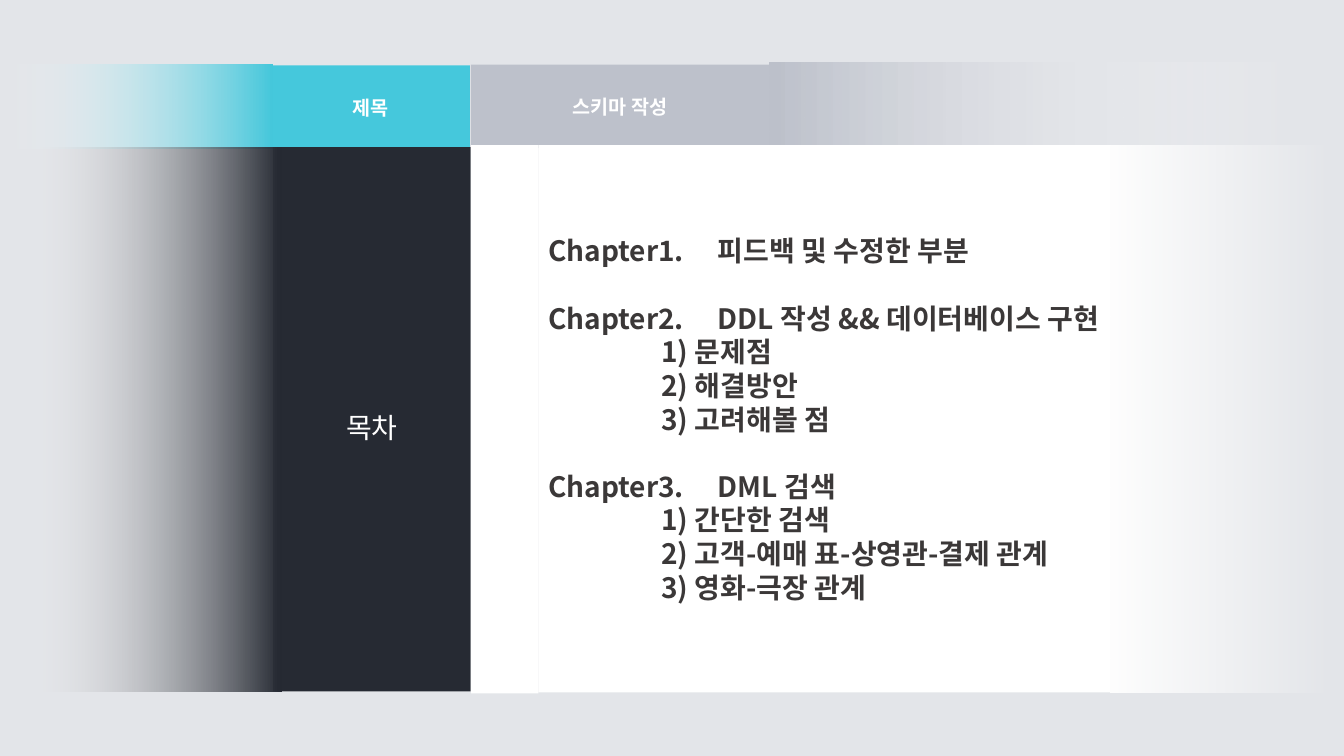
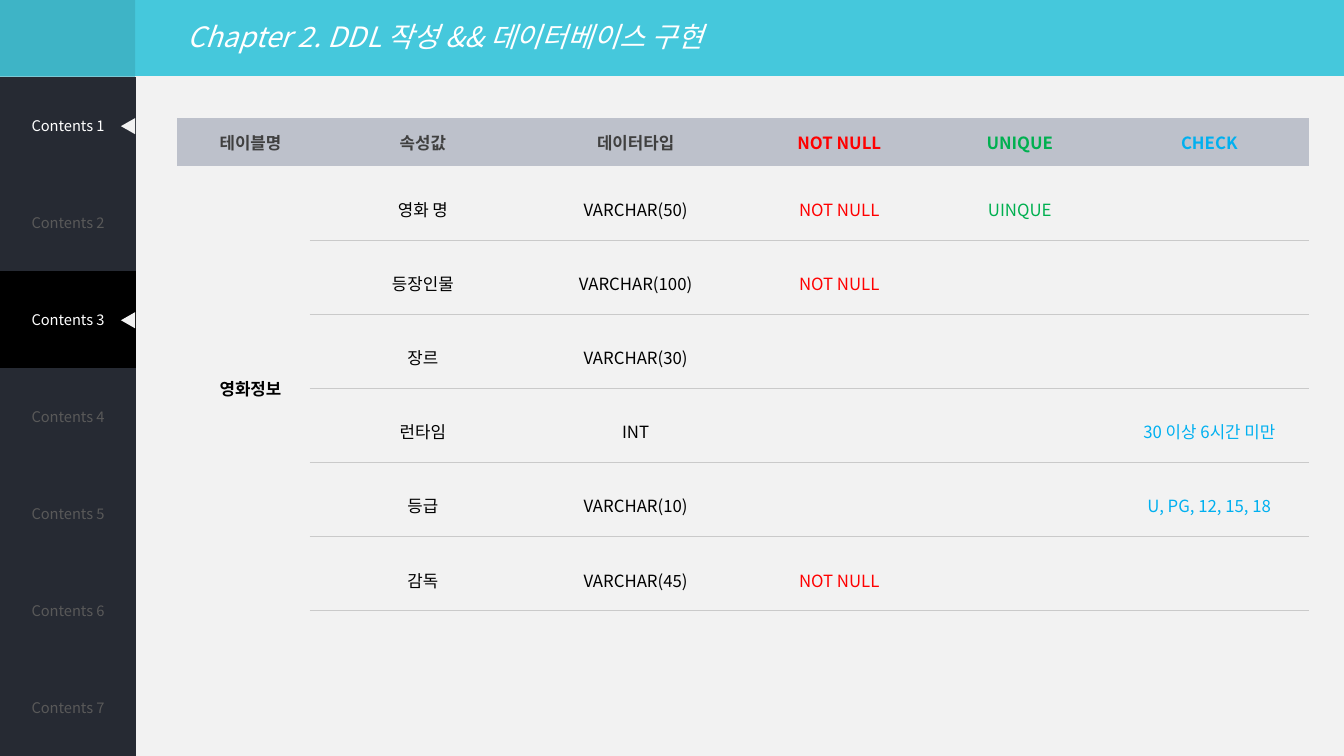
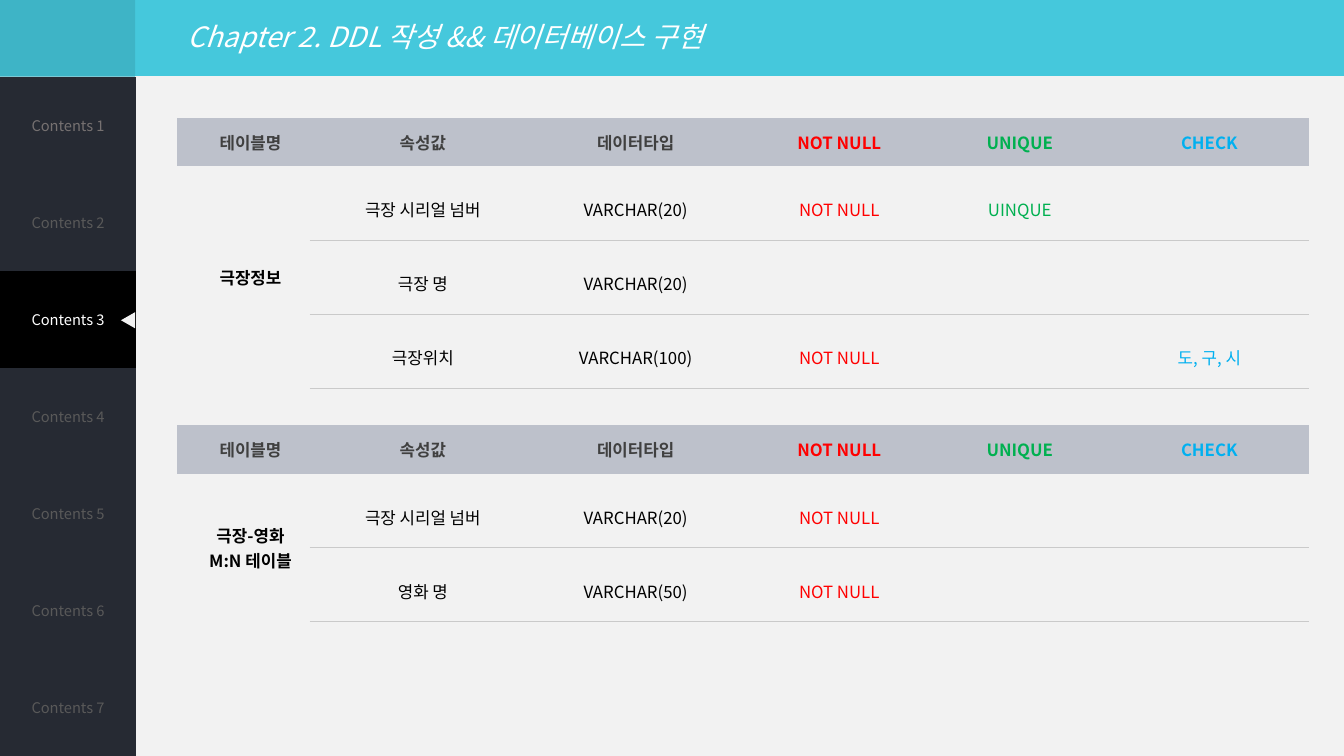
"""Build three slides: a table of contents and two table-schema pages."""
from dataclasses import dataclass

from lxml.etree import SubElement
from pptx import Presentation
from pptx.dml.color import RGBColor
from pptx.enum.shapes import MSO_SHAPE as Shape
from pptx.enum.text import MSO_ANCHOR as Anchor, MSO_AUTO_SIZE as AutoSize, PP_ALIGN as Align
from pptx.oxml.ns import qn
from pptx.util import Inches, Pt

FONT = "Noto Sans CJK KR"
CYAN, DARK_CYAN, NAVY, SILVER = "45C8DC", "3EB4C6", "262A33", "BDC1CB"
WHITE, BLACK, PAPER, MIST, RULE = "FFFFFF", "000000", "F2F2F2", "E3E5E9", "CACACA"
RED, GREEN, BLUE = "FF0000", "00B050", "00B0F0"
NO_STYLE = "{2D5ABB26-0587-4C30-8999-92F81FD0307C}"

PAGE_WIDTH, PAGE_HEIGHT = 13.33, 7.5
BAND_HEIGHT, SIDEBAR_WIDTH = 0.76, 1.35
MENU_COUNT = 7
MENU_ROW = (PAGE_HEIGHT - BAND_HEIGHT) / MENU_COUNT
MENU_CURRENT = 3
TABLE_LEFT = 1.76
COLUMN_WIDTHS = (1.31, 2.11, 2.11, 1.93, 1.65, 2.11)
HEADER_ROW = 0.48
BODY_ROW = (4.89 - HEADER_ROW) / 6
HEADINGS = ("테이블명", "속성값", "데이터타입", "NOT NULL", "UNIQUE", "CHECK")
HEADING_COLORS = ("404040",) * 3 + (RED, GREEN, BLUE)
BODY_COLORS = (BLACK,) * 3 + (RED, GREEN, BLUE)
CHAPTER_TITLE = "Chapter 2. DDL 작성 && 데이터베이스 구현"


@dataclass(frozen=True)
class Box:
    """A rectangle on the page, in inches."""
    left: float
    top: float
    width: float
    height: float

    def lengths(self) -> list:
        """Return the four measures as lengths."""
        return [Inches(value) for value in (self.left, self.top, self.width, self.height)]


@dataclass(frozen=True)
class Fade:
    """A rectangle that fades from a colour to clear."""
    box: Box
    color: str
    angle: int


@dataclass(frozen=True)
class Chapter:
    """One entry of the contents list with its items."""
    label: str
    title: str
    items: tuple = ()


@dataclass(frozen=True)
class Schema:
    """One table description; each row fills the columns after the name."""
    top: float
    name: str
    rows: tuple


@dataclass(frozen=True)
class SchemaPage:
    """One page of schemas with the look of its sidebar."""
    first_color: str
    marked: tuple
    schemas: tuple


CHAPTERS = (
    Chapter("Chapter1.", "피드백 및 수정한 부분"),
    Chapter("Chapter2.", "DDL 작성 && 데이터베이스 구현",
            ("1) 문제점", "2) 해결방안", "3) 고려해볼 점")),
    Chapter("Chapter3.", "DML 검색",
            ("1) 간단한 검색", "2) 고객-예매 표-상영관-결제 관계", "3) 영화-극장 관계")),
)

FADES = (
    Fade(Box(11.01, 1.44, 2.2, 5.43), WHITE, 0),
    Fade(Box(7.63, 0.62, 5.26, 0.81), SILVER, 0),
    Fade(Box(0.04, 0.64, 2.66, 0.83), CYAN, 180),
    Fade(Box(0.13, 1.46, 2.66, 5.4), NAVY, 180),
)

SCHEMA_PAGES = (
    SchemaPage(WHITE, (1, MENU_CURRENT), (
        Schema(1.17, "영화정보", (
            ("영화 명", "VARCHAR(50)", "NOT NULL", "UINQUE", ""),
            ("등장인물", "VARCHAR(100)", "NOT NULL", "", ""),
            ("장르", "VARCHAR(30)", "", "", ""),
            ("런타임", "INT", "", "", "30 이상 6시간 미만"),
            ("등급", "VARCHAR(10)", "", "", "U, PG, 12, 15, 18"),
            ("감독", "VARCHAR(45)", "NOT NULL", "", ""),
        )),
    )),
    SchemaPage("767171", (MENU_CURRENT,), (
        Schema(1.17, "극장정보", (
            ("극장 시리얼 넘버", "VARCHAR(20)", "NOT NULL", "UINQUE", ""),
            ("극장 명", "VARCHAR(20)", "", "", ""),
            ("극장위치", "VARCHAR(100)", "NOT NULL", "", "도, 구, 시"),
        )),
        Schema(4.22, "극장-영화\nM:N 테이블", (
            ("극장 시리얼 넘버", "VARCHAR(20)", "NOT NULL", "", ""),
            ("영화 명", "VARCHAR(50)", "NOT NULL", "", ""),
        )),
    )),
)


def rgb(color: str) -> RGBColor:
    """Turn a hex string into a colour."""
    return RGBColor.from_string(color)


def set_all(target, **values) -> None:
    """Set several attributes of one object."""
    for name, value in values.items():
        setattr(target, name, value)


def paint(target, color: str) -> None:
    """Give a shape, cell or background a solid fill."""
    target.fill.solid()
    target.fill.fore_color.rgb = rgb(color)


def style_text(paragraphs, color: str, size: float, align=Align.CENTER, spacing=None, **font) -> None:
    """Format paragraphs and every run in them."""
    for para in paragraphs:
        set_all(para, alignment=align, line_spacing=spacing)
        for span in para.runs:
            set_all(span.font, name=FONT, size=Pt(size), **font)
            span.font.color.rgb = rgb(color)
            SubElement(span.font._element, qn("a:ea"), typeface=FONT)


def add_block(page, box: Box, color: str, kind=Shape.RECTANGLE):
    """Draw a plain filled shape."""
    block = page.shapes.add_shape(kind, *box.lengths())
    block.shadow.inherit = False
    paint(block, color)
    block.line.fill.background()
    return block


def add_label(page, box: Box, color: str, text: str, size: float, **look) -> None:
    """Draw a filled rectangle with white text in its middle."""
    frame = add_block(page, box, color).text_frame
    set_all(frame, text=text, word_wrap=True, vertical_anchor=Anchor.MIDDLE)
    style_text(frame.paragraphs, WHITE, size, **look)


def add_fade(page, fade: Fade) -> None:
    """Draw a rectangle that fades out to one side."""
    fill = add_block(page, fade.box, fade.color).fill
    fill.gradient()
    fill.gradient_angle = fade.angle
    for stop, position, color in zip(fill.gradient_stops, (0, 1), (fade.color, WHITE)):
        stop.position = position
        stop.color.rgb = rgb(color)
    clear = fill._xPr.findall(".//" + qn("a:srgbClr"))[-1]
    SubElement(clear, qn("a:alpha"), val="0")


def place_title(page, box: Box, text: str, size: float, **look) -> None:
    """Move, fill in and format the title placeholder."""
    title = page.shapes.title
    set_all(title, **dict(zip(("left", "top", "width", "height"), box.lengths())))
    set_all(title.text_frame, text=text, word_wrap=True, auto_size=AutoSize.NONE,
            vertical_anchor=Anchor.MIDDLE)
    style_text(title.text_frame.paragraphs, WHITE, size, **look)


def add_plain_table(page, box: Box, widths, heights):
    """Add a table without a built-in style."""
    table = page.shapes.add_table(len(heights), len(widths), *box.lengths()).table
    set_all(table, first_row=False, horz_banding=False)
    table._tbl.tblPr.find(qn("a:tableStyleId")).text = NO_STYLE
    for column, width in zip(table.columns, widths):
        column.width = Inches(width)
    for row, height in zip(table.rows, heights):
        row.height = Inches(height)
    return table


def fill_cell(cell, text: str, color: str, size: float, **look) -> None:
    """Write one table cell, centred."""
    set_all(cell, text=text, vertical_anchor=Anchor.MIDDLE)
    style_text(cell.text_frame.paragraphs, color, size, **look)


def underline_cell(cell) -> None:
    """Draw the rule below a cell."""
    border = SubElement(cell._tc.get_or_add_tcPr(), qn("a:lnB"), w=str(Pt(1)))
    fill = SubElement(border, qn("a:solidFill"))
    SubElement(fill, qn("a:srgbClr"), val=RULE)


def add_schema(page, schema: Schema) -> None:
    """Draw one schema table with its heading row and merged name."""
    heights = [HEADER_ROW] + [BODY_ROW] * len(schema.rows)
    box = Box(TABLE_LEFT, schema.top, sum(COLUMN_WIDTHS), sum(heights))
    table = add_plain_table(page, box, COLUMN_WIDTHS, heights)
    for cell in table.iter_cells():
        cell.margin_left = Inches(0.24)
    for column, (heading, color) in enumerate(zip(HEADINGS, HEADING_COLORS)):
        cell = table.cell(0, column)
        fill_cell(cell, heading, color, 12, bold=True)
        paint(cell, SILVER)
    for row, values in enumerate(schema.rows, 1):
        for column, value in enumerate(values, 1):
            cell = table.cell(row, column)
            fill_cell(cell, value, BODY_COLORS[column], 12, spacing=1.5)
            underline_cell(cell)
            cell.fill.background()
    name = table.cell(1, 0)
    name.merge(table.cell(len(schema.rows), 0))
    fill_cell(name, schema.name, BLACK, 12, bold=True)
    name.fill.background()


def add_sidebar(page, first_color: str, marked: tuple) -> None:
    """Draw the menu at the left with its markers."""
    add_block(page, Box(0, 0, 1.34, BAND_HEIGHT), DARK_CYAN)
    box = Box(0, BAND_HEIGHT, SIDEBAR_WIDTH, MENU_ROW * MENU_COUNT)
    table = add_plain_table(page, box, [SIDEBAR_WIDTH], [MENU_ROW] * MENU_COUNT)
    colors = {1: first_color, MENU_CURRENT: WHITE}
    for number in range(1, MENU_COUNT + 1):
        cell = table.cell(number - 1, 0)
        fill_cell(cell, f"Contents {number}", colors.get(number, "595959"), 10.5)
        paint(cell, BLACK if number == MENU_CURRENT else NAVY)
    for number in marked:
        top = BAND_HEIGHT + MENU_ROW * (number - 0.5) - 0.06
        add_block(page, Box(1.19, top, 0.16, 0.14), PAPER, Shape.ISOSCELES_TRIANGLE).rotation = 270


def add_chapters(page) -> None:
    """Write the contents list on its white panel."""
    frame = add_block(page, Box(5.34, 1.44, 5.67, 5.43), WHITE).text_frame
    set_all(frame, word_wrap=True, vertical_anchor=Anchor.MIDDLE)
    look = dict(color="3B3838", size=20, align=Align.JUSTIFY, spacing=Pt(24), bold=True)
    for index, chapter in enumerate(CHAPTERS):
        para = frame.add_paragraph() if index else frame.paragraphs[0]
        para.text = f"{chapter.label}\t{chapter.title}"
        if index:
            para.space_before = Pt(24)
        tabs = SubElement(para._p.get_or_add_pPr(), qn("a:tabLst"))
        SubElement(tabs, qn("a:tab"), pos=str(Inches(1.68)), algn="l")
        style_text([para], **look)
        for item in chapter.items:
            para = frame.add_paragraph()
            para.text = item
            para._p.get_or_add_pPr().set("marL", str(Inches(1.12)))
            style_text([para], **look)


def build_contents_page(deck) -> None:
    """Build the table of contents."""
    page = deck.slides.add_slide(deck.slide_layouts[5])
    paint(page.background, MIST)
    place_title(page, Box(4.67, 0.64, 2.96, 0.83), "스키마 작성", 14, bold=True)
    paint(page.shapes.title, SILVER)
    add_label(page, Box(2.7, 0.65, 1.96, 0.83), CYAN, "제목", 14, bold=True)
    add_label(page, Box(2.71, 1.46, 1.96, 5.4), NAVY, "목차", 20, spacing=1.5)
    add_chapters(page)
    for fade in FADES:
        add_fade(page, fade)
    add_block(page, Box(4.67, 1.44, 0.67, 5.44), WHITE)


def build_schema_page(deck, content: SchemaPage) -> None:
    """Build one page of schema tables."""
    page = deck.slides.add_slide(deck.slide_layouts[5])
    fill = page.background.fill
    fill.gradient()
    fill.gradient_angle = 270
    for stop, color in zip(fill.gradient_stops, (CYAN, PAPER)):
        stop.position = 0.1
        stop.color.rgb = rgb(color)
    place_title(page, Box(TABLE_LEFT, 0.14, 10.64, 0.44), CHAPTER_TITLE, 20,
                align=Align.LEFT, italic=True)
    add_sidebar(page, content.first_color, content.marked)
    for schema in content.schemas:
        add_schema(page, schema)


def main() -> None:
    """Build and save the deck."""
    deck = Presentation()
    set_all(deck, slide_width=Inches(PAGE_WIDTH), slide_height=Inches(PAGE_HEIGHT))
    build_contents_page(deck)
    for content in SCHEMA_PAGES:
        build_schema_page(deck, content)
    deck.save("out.pptx")


if __name__ == "__main__":
    main()
